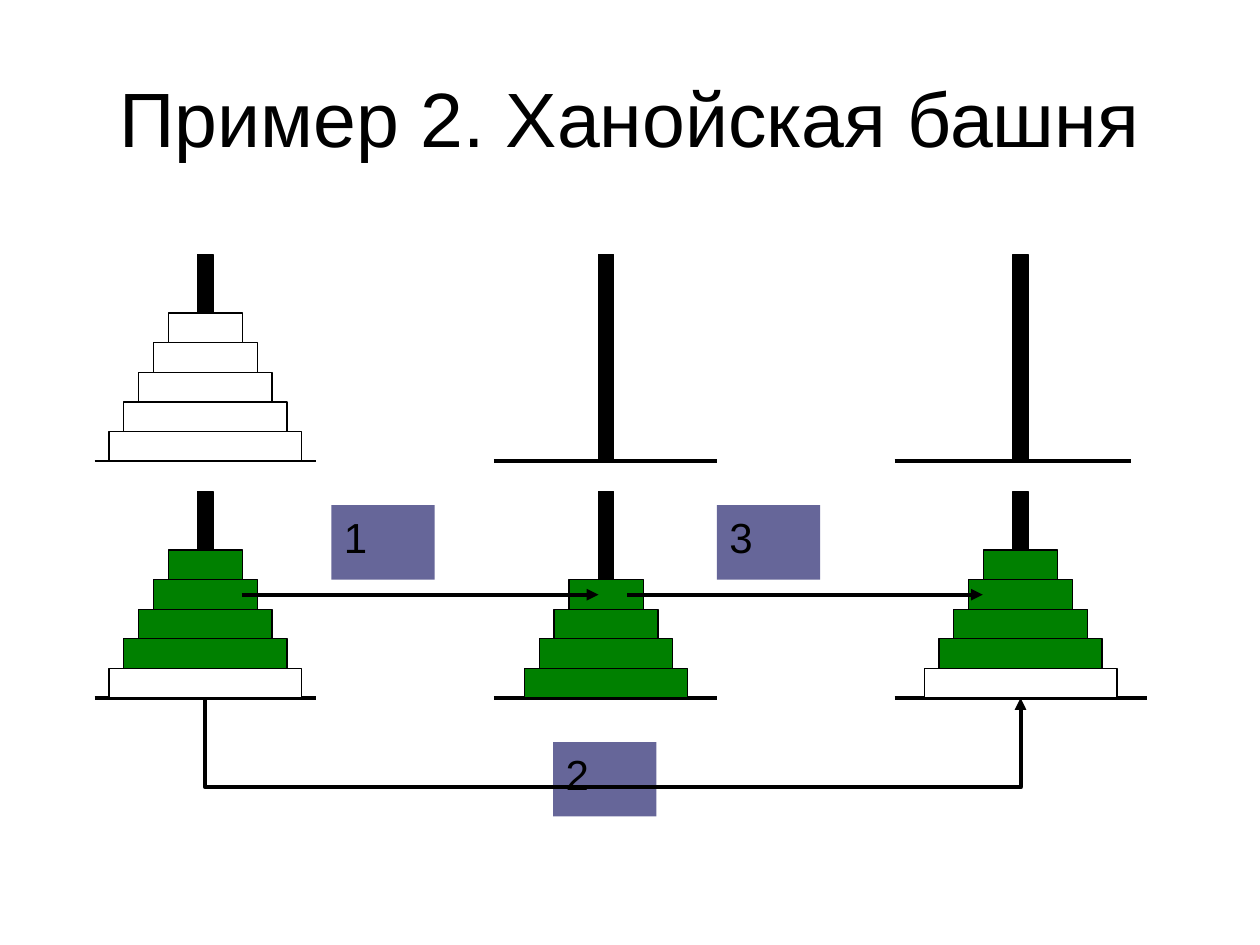
from lxml import etree
from pptx import Presentation
from pptx import util as u
from pptx.dml.color import RGBColor
from pptx.enum import shapes, text
from pptx.oxml.ns import qn

HUE = {"ink": "000000", "plain": "FFFFFF", "moved": "008000", "label": "666699"}
MID = [1.63, 4.81, 8.1]                  # peg centres
PEG_W, PEG_H = 0.12, 1.64
DISC_H, DISC_W, STEP = 0.235, 1.53, 0.235
TOP, LOW = 3.66, 5.54                    # base heights of the two rows


def color(name):
    return RGBColor.from_string(HUE[name])


def stroke(item, width, arrow=False):
    """Black line, with an arrowhead at its end if asked."""
    item.line.color.rgb = color("ink")
    item.line.width = u.Pt(width)
    if arrow:
        line = item.line._get_or_add_ln()
        etree.SubElement(line, qn("a:tailEnd"), type="triangle")


def write(item, words, size, form):
    frame = item.text_frame
    frame.word_wrap = True
    frame.vertical_anchor = form["anchor"]
    para = frame.paragraphs[0]
    para.alignment = form["align"]
    run = para.add_run()
    run.text = words
    for key, value in {"name": "Arial", "size": u.Pt(size)}.items():
        setattr(run.font, key, value)
    run.font.color.rgb = color("ink")


def box(slide, x, y, w, h, fill, edge=True):
    item = slide.shapes.add_shape(
        shapes.MSO_SHAPE.RECTANGLE, *map(u.Inches, (x, y, w, h)))
    item.shadow.inherit = False
    item.fill.solid()
    item.fill.fore_color.rgb = color(fill)
    if edge:
        stroke(item, 0.75)
    else:
        item.line.fill.background()
    return item


def rule(slide, x, end, y, width=2.25, arrow=False):
    item = slide.shapes.add_connector(
        shapes.MSO_CONNECTOR.STRAIGHT, *map(u.Inches, (x, y, end, y)))
    etree.SubElement(item._element.spPr, qn("a:effectLst"))
    stroke(item, width, arrow)
    return item


def label(slide, x, y, words):
    item = box(slide, x, y, 0.82, 0.59, "label", edge=False)
    form = {"anchor": text.MSO_ANCHOR.TOP, "align": text.PP_ALIGN.LEFT}
    write(item, words, 24, form)


def tower(slide, mid, base, discs):
    """Peg with its discs, given as (size rank, fill) from the bottom up."""
    peg = box(slide, mid - PEG_W / 2, base - PEG_H, PEG_W, PEG_H, "ink")
    for level, (rank, fill) in enumerate(discs, 1):
        wide = DISC_W - rank * STEP
        box(slide, mid - wide / 2, base - level * DISC_H, wide, DISC_H, fill)
    return peg


def detour(slide, start, end, y, drop):
    """Arrow that runs below the row from one base to another."""
    pen = slide.shapes.build_freeform(u.Inches(start), u.Inches(y))
    bends = [(start, y + drop), (end, y + drop), (end, y)]
    pen.add_line_segments(
        [(u.Inches(a), u.Inches(b)) for a, b in bends], close=False)
    item = pen.convert_to_shape()
    item.shadow.inherit = False
    item.fill.background()
    stroke(item, 2.25, arrow=True)


def main():
    deck = Presentation()
    deck.slide_width, deck.slide_height = u.Inches(10), u.Inches(7.5)
    slide = deck.slides.add_slide(deck.slide_layouts[6])

    # Title
    title = slide.shapes.add_textbox(*map(u.Inches, (0.5, 0.3, 9, 1.25)))
    form = {"anchor": text.MSO_ANCHOR.MIDDLE, "align": text.PP_ALIGN.CENTER}
    write(title, "Пример 2. Ханойская башня", 44, form)

    label(slide, 4.39, 5.89, "2")

    # Bases: left, right, height, line width
    for x, end, y, width in [
            (0.75, 2.51, TOP, 0.75), (3.92, 5.69, TOP, 2.25),
            (7.1, 8.98, TOP, 2.25), (0.75, 2.51, LOW, 2.25),
            (3.92, 5.69, LOW, 2.25), (7.1, 9.1, LOW, 2.25)]:
        rule(slide, x, end, y, width)

    # Upper row: start position
    start = [(rank, "plain") for rank in range(5)]
    for mid, discs in zip(MID, [start, [], []]):
        tower(slide, mid, TOP, discs)

    # Lower row: the moves
    small = [(rank, "moved") for rank in range(1, 5)]
    full = [(0, "plain")] + small
    pegs = [tower(slide, mid, LOW, discs)
            for mid, discs in zip(MID, [full, small, full])]

    # Arrows and step numbers
    first = rule(slide, 1.92, 4.75, 4.72, arrow=True)
    first.end_connect(pegs[1], 1)
    label(slide, 2.63, 4.01, "1")
    rule(slide, 4.98, 7.8, 4.72, arrow=True)
    label(slide, 5.69, 4.01, "3")
    detour(slide, MID[0], MID[2], LOW, 0.71)

    deck.save("out.pptx")


if __name__ == "__main__":
    main()
